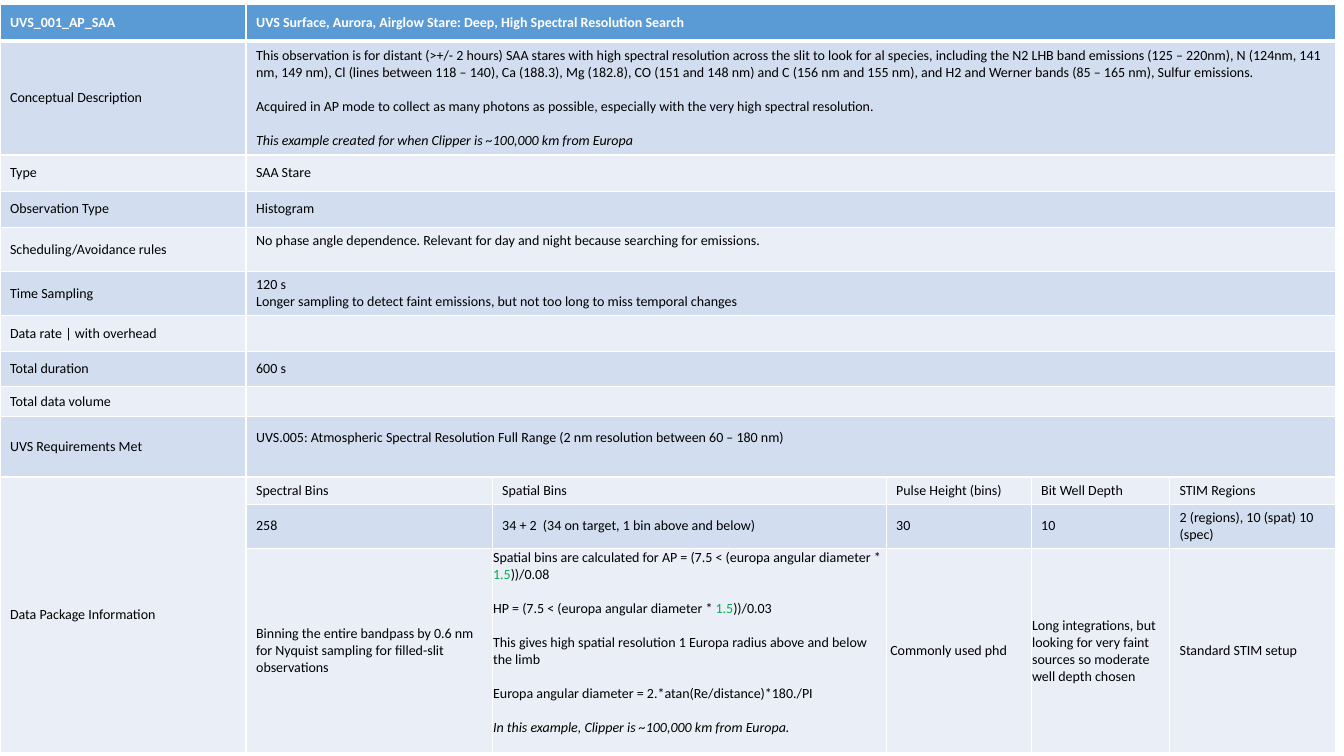
from lxml.etree import SubElement
from pptx import Presentation
from pptx.dml.color import RGBColor as Rgb
from pptx.enum.text import MSO_ANCHOR as Anchor
from pptx.oxml.ns import qn
from pptx.util import Pt

COLORS = {"white": "FFFFFF", "black": "000000", "header": "5B9BD5",
          "dark": "D2DEEF", "light": "EAEFF7", "green": "00B050"}
FONT, SIZE, LINE = "Calibri", 10, 12.2
ITALIC = {"italic": True}
GREEN = {"color": "green"}
GAP = {"gap": LINE}
LIFTED = {"margin_bottom": 3.6 + LINE}
TIGHT = {"margin_left": 0.7, "margin_top": 0.7, "margin_right": 0.7, "margin_bottom": 0}


class Sheet:
    """Holds the style and the current slide."""

    def __init__(self, deck):
        self.slide = deck.slides.add_slide(deck.slide_layouts[6])

    def table(self, left, top, widths, heights):
        frame = self.slide.shapes.add_table(
            len(heights), len(widths), Pt(left), Pt(top), Pt(sum(widths)), Pt(sum(heights)))
        table = frame.table
        table.first_row = table.horz_banding = False
        for column, width in zip(table.columns, widths):
            column.width = Pt(width)
        for row, height in zip(table.rows, heights):
            row.height = Pt(height)
        return table

    def border(self, cell, side, width):
        line = SubElement(cell._tc.get_or_add_tcPr(), qn(f"a:ln{side}"), w=str(Pt(width)))
        fill = SubElement(line, qn("a:solidFill"))
        SubElement(fill, qn("a:srgbClr"), val=COLORS["white"])

    def run(self, paragraph, text, color, **look):
        run = paragraph.add_run()
        run.text = text
        for name, value in {"name": FONT, "size": Pt(SIZE), "bold": False, **look}.items():
            setattr(run.font, name, value)
        run.font.color.rgb = Rgb.from_string(COLORS[color])

    def cell(self, cell, paragraphs, fill, color="black", bold=False, top_line=1, bottom_line=1,
             anchor=Anchor.MIDDLE, gap=0, **margins):
        """Fill one cell; a paragraph is a string or a list of (text, look) pairs."""
        for side, width in {"L": 1, "R": 1, "T": top_line, "B": bottom_line}.items():
            self.border(cell, side, width)
        cell.fill.solid()
        cell.fill.fore_color.rgb = Rgb.from_string(COLORS[fill])
        cell.vertical_anchor = anchor
        for name, value in margins.items():
            setattr(cell, name, Pt(value))
        if isinstance(paragraphs, str):
            paragraphs = [paragraphs]
        frame = cell.text_frame
        for index, parts in enumerate(paragraphs):
            paragraph = frame.add_paragraph() if index else frame.paragraphs[0]
            if index:
                paragraph.space_before = Pt(gap)
            for text, look in [(parts, {})] if isinstance(parts, str) else parts:
                self.run(paragraph, text, **{"color": color, "bold": bold, **look})
            # The end mark sets the height of empty cells
            SubElement(paragraph._p, qn("a:endParaRPr"), sz=str(SIZE * 100))


# Content: label, text, cell format
HEADER = ("UVS_001_AP_SAA",
          "UVS Surface, Aurora, Airglow Stare: Deep, High Spectral Resolution Search")
DETAILS = [
    ("Conceptual Description", [
        "This observation is for distant (>+/- 2 hours) SAA stares with high spectral resolution "
        "across the slit to look for al species, including the N2 LHB band emissions "
        "(125 – 220nm), N (124nm, 141 nm, 149 nm), Cl (lines between 118 – 140), Ca (188.3), "
        "Mg (182.8), CO (151 and 148 nm) and C (156 nm and 155 nm), and H2 and Werner bands "
        "(85 – 165 nm), Sulfur emissions.",
        "Acquired in AP mode to collect as many photons as possible, especially with the very "
        "high spectral resolution.",
        [("This example created for when Clipper is ~100,000 km from Europa", ITALIC)]], GAP),
    ("Type", "SAA Stare", {}),
    ("Observation Type", "Histogram", {}),
    ("Scheduling/Avoidance rules", "No phase angle dependence. Relevant for day and night "
     "because searching for emissions.", LIFTED),
    ("Time Sampling", ["120 s", "Longer sampling to detect faint emissions, but not too long "
                       "to miss temporal changes"], {}),
    ("Data rate | with overhead", [[]], {}),
    ("Total duration", "600 s", {}),
    ("Total data volume", [[]], {}),
    ("UVS Requirements Met", "UVS.005: Atmospheric Spectral Resolution Full Range "
     "(2 nm resolution between 60 – 180 nm)", LIFTED),
]
SPATIAL_RULES = [
    [("Spatial bins are calculated for AP = (7.5 < (europa angular diameter * ", {}),
     ("1.5", GREEN), ("))/0.08", {})],
    [("HP = (7.5 < (europa angular diameter * ", {}), ("1.5", GREEN), ("))/0.03", {})],
    "This gives high spatial resolution 1 Europa radius above and below the limb",
    "Europa angular diameter = 2.*atan(Re/distance)*180./PI",
    [("In this example, Clipper is ~100,000 km from Europa.", ITALIC)],
]
PACKAGE = [
    [(text, {}) for text in ("Spectral Bins", "Spatial Bins", "Pulse Height (bins)",
                             "Bit Well Depth", "STIM Regions")],
    [(text, {}) for text in ("258", "34 + 2  (34 on target, 1 bin above and below)", "30", "10",
                             "2 (regions), 10 (spat) 10 (spec)")],
    [("Binning the entire bandpass by 0.6 nm for Nyquist sampling for filled-slit observations",
      {}),
     (SPATIAL_RULES, {**TIGHT, **GAP, "anchor": Anchor.TOP}),
     ("Commonly used phd", {**TIGHT, "margin_left": 3}),
     ("Long integrations, but looking for very faint sources so moderate well depth chosen",
      TIGHT),
     ("Standard STIM setup", {})],
]
WIDTHS = [175.8, 175.8, 281.4, 103.6, 98.9, 118.9]
HEIGHTS = [26.5, 81.4, 25.8, 25.8, 31.4, 31.4, 25.8, 25, 21.2, 43.4, 19.4, 31.4, 146.2]

deck = Presentation()
deck.slide_width, deck.slide_height = Pt(960), Pt(540)
sheet = Sheet(deck)
observation = sheet.table(0, 2.9, WIDTHS, HEIGHTS)
last_column = len(WIDTHS) - 1

# Header row
for column, title in enumerate(HEADER):
    sheet.cell(observation.cell(0, column), title, "header", "white", True, bottom_line=3)

# Observation details, banded
for row, (label, detail, look) in enumerate(DETAILS, start=1):
    band = "dark" if row % 2 else "light"
    top_line = 3 if row == 1 else 1
    sheet.cell(observation.cell(row, 0), label, band, top_line=top_line)
    sheet.cell(observation.cell(row, 1), detail, band, top_line=top_line, **look)

# Wide cells of the header and the details
for row in range(len(DETAILS) + 1):
    for column in range(2, last_column + 1):
        sheet.cell(observation.cell(row, column), [[]], "light")
    observation.cell(row, 1).merge(observation.cell(row, last_column))

# Data package block
first_row = len(DETAILS) + 1
for offset, entries in enumerate(PACKAGE):
    row = first_row + offset
    label = [[]] if offset else "Data Package Information"
    sheet.cell(observation.cell(row, 0), label, "light")
    for column, (entry, look) in enumerate(entries, start=1):
        sheet.cell(observation.cell(row, column), entry, "dark" if offset == 1 else "light", **look)
observation.cell(first_row, 0).merge(observation.cell(first_row + len(PACKAGE) - 1, 0))

deck.save("out.pptx")
